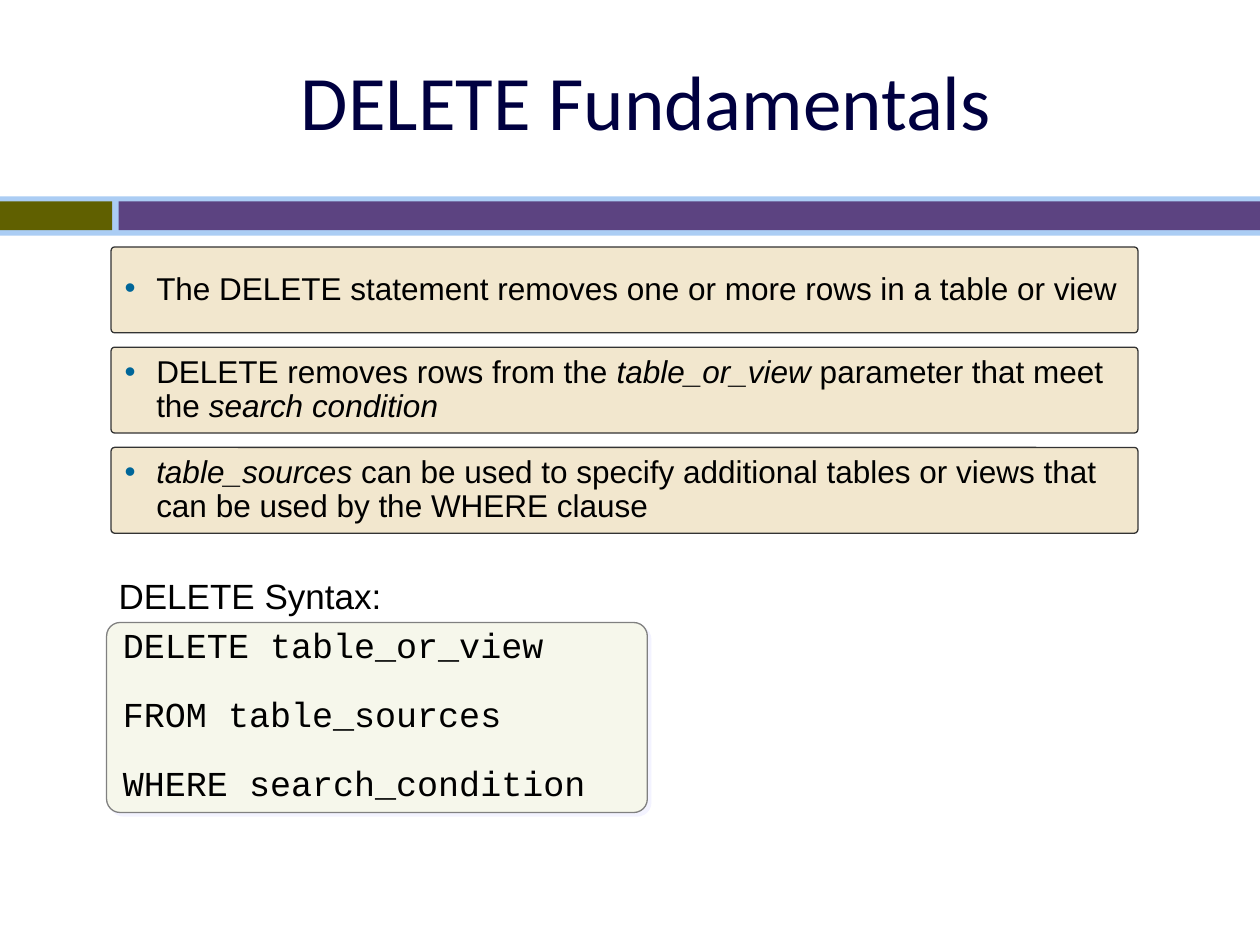
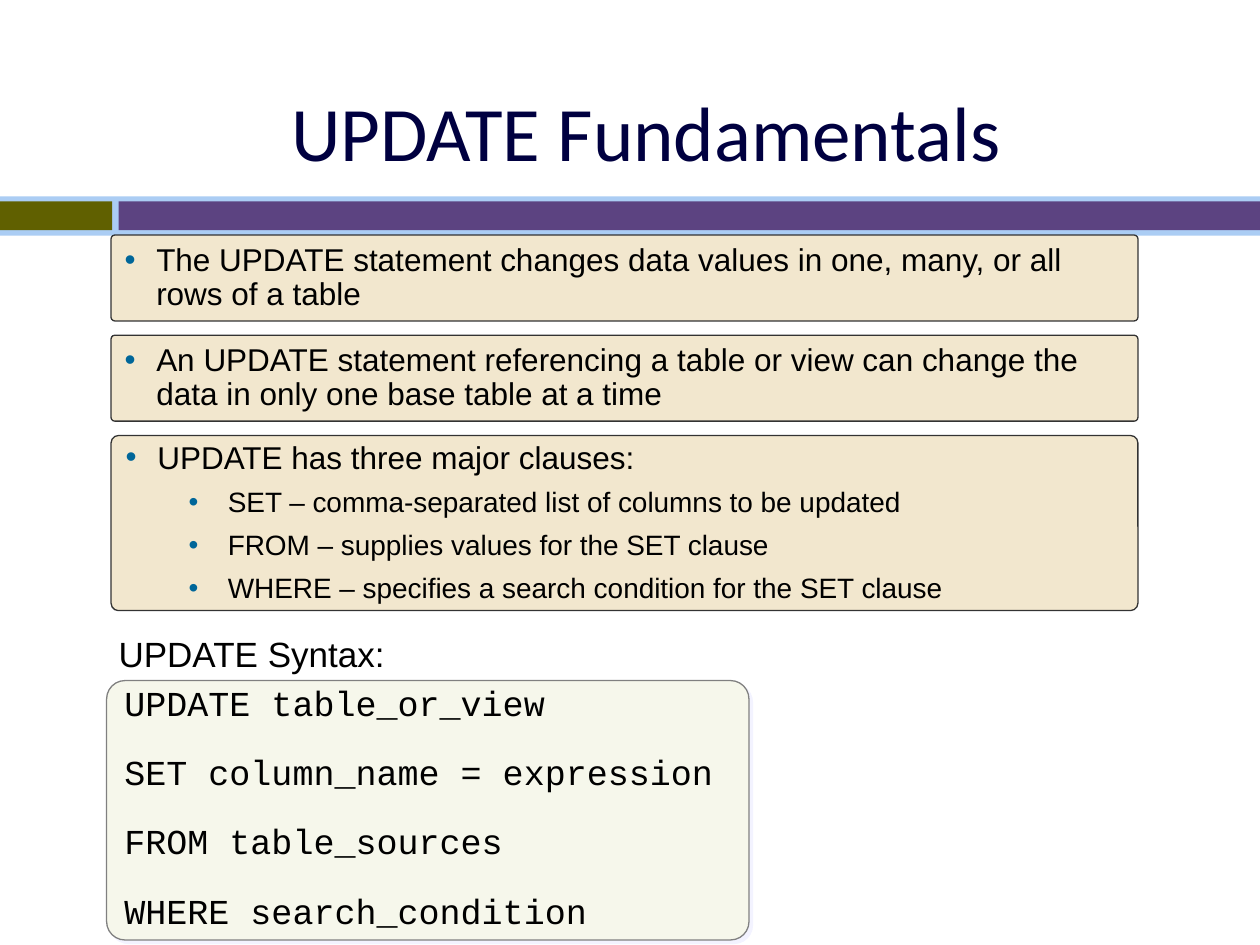
from dataclasses import dataclass

import lxml.etree
import pptx
import pptx.dml.color
import pptx.enum.shapes
import pptx.enum.text
import pptx.oxml.ns
import pptx.util

Cm = pptx.util.Cm
Pt = pptx.util.Pt
SHAPES = pptx.enum.shapes.MSO_SHAPE
ALIGN = pptx.enum.text.PP_ALIGN
ANCHOR = pptx.enum.text.MSO_ANCHOR

# Text between asterisks is italic; each box is a main point and its sub-points.
SLIDES = [
    {
        "title": "DELETE Fundamentals", "title_top": 0.64,
        "points_top": 4.98,
        "points": [
            ("The DELETE statement removes one or more rows in a table or view", []),
            ("DELETE removes rows from the *table_or_view* parameter that meet "
             "the *search condition*", []),
            ("*table_sources* can be used to specify additional tables or views "
             "that can be used by the WHERE clause", []),
        ],
        "syntax_title": "DELETE Syntax:", "syntax_top": 11.68, "code_width": 10.9,
        "code": ["DELETE table_or_view", "FROM table_sources",
                 "WHERE search_condition"],
    },
    {
        "title": "UPDATE Fundamentals", "title_top": 1.27,
        "points_top": 4.74,
        "points": [
            ("The UPDATE statement changes data values in one, many, or all "
             "rows of a table", []),
            ("An UPDATE statement referencing a table or view can change the "
             "data in only one base table at a time", []),
            ("UPDATE has three major clauses:", [
                "SET – comma-separated list of columns to be updated",
                "FROM – supplies values for the SET clause",
                "WHERE – specifies a search condition for the SET clause",
            ]),
        ],
        "syntax_title": "UPDATE Syntax:", "syntax_top": 12.85, "code_width": 12.95,
        "code": ["UPDATE table_or_view", "SET column_name = expression",
                 "FROM table_sources", "WHERE search_condition"],
    },
]


@dataclass(frozen=True)
class Theme:
    title: str = "000040"
    text: str = "000000"
    bullet: str = "006699"
    band_back: str = "ABCDF4"
    band_left: str = "606000"
    band_right: str = "5C4381"
    point_fill: str = "F2E7CE"
    point_line: str = "333333"
    code_fill: str = "F6F7EB"
    code_line: str = "808080"
    code_shadow: str = "F3F3FF"
    title_font: str = "Calibri"
    body_font: str = "Arial"
    code_font: str = "Courier New"
    title_size: int = 44
    syntax_size: int = 20
    point_size: int = 18
    subpoint_size: int = 16


THEME = Theme()
BANDS = [  # left, top, width, height, colour
    (0, 3.96, 25.4, 0.79, THEME.band_back),
    (0, 4.06, 2.26, 0.58, THEME.band_left),
    (2.39, 4.06, 23.01, 0.58, THEME.band_right),
]
POINT_LEFT, POINT_WIDTH, POINT_HEIGHT, POINT_GAP = 2.24, 20.7, 1.73, 0.29
SUBPOINT_HEIGHT = 0.6
CODE_LINE_HEIGHT = 1.4


def rgb(colour):
    return pptx.dml.color.RGBColor.from_string(colour)


def add_child(parent, tag, **attributes):
    child = lxml.etree.SubElement(parent, pptx.oxml.ns.qn(tag))
    for name, value in attributes.items():
        child.set(name, str(value))
    return child


def style_runs(para, font, size, colour=THEME.text):
    for span in para.runs:
        span.font.name = font
        span.font.size = Pt(size)
        span.font.color.rgb = rgb(colour)


def add_panel(page, kind, place, fill, line=None, corner=None):
    box = page.shapes.add_shape(kind, *(Cm(length) for length in place))
    box.shadow.inherit = False
    box.fill.solid()
    box.fill.fore_color.rgb = rgb(fill)
    if line:
        box.line.color.rgb = rgb(line)
        box.line.width = Pt(0.75)
    else:
        box.line.fill.background()
    if corner:
        box.adjustments[0] = corner
    return box


def move_bands_to_layout(page):
    """Draw the bands on a page, then move them behind its layout's placeholders."""
    tree = page.slide_layout.shapes.element
    for index, (*place, colour) in enumerate(BANDS):
        band = add_panel(page, SHAPES.RECTANGLE, place, colour)
        tree.insert(2 + index, band.element)


def add_title(page, text, top):
    title = page.shapes.title
    title.left, title.top = Cm(1.7), Cm(top)
    title.width, title.height = Cm(22.66), Cm(2.74)
    title.text_frame.text = text
    title.text_frame.vertical_anchor = ANCHOR.MIDDLE
    para = title.text_frame.paragraphs[0]
    para.alignment = ALIGN.CENTER
    style_runs(para, THEME.title_font, THEME.title_size, THEME.title)


def set_bullet(para, margin, hanging):
    properties = para._p.get_or_add_pPr()
    properties.set("marL", str(Cm(margin)))
    properties.set("indent", str(-Cm(hanging)))
    colour = add_child(properties, "a:buClr")
    add_child(colour, "a:srgbClr", val=THEME.bullet)
    add_child(properties, "a:buFont", typeface=THEME.body_font)
    add_child(properties, "a:buChar", char="•")


def write_point(para, text, margin, hanging, size):
    set_bullet(para, margin, hanging)
    para.alignment = ALIGN.LEFT
    para.line_spacing = 0.9
    for index, part in enumerate(text.split("*")):
        if part:
            span = para.add_run()
            span.text = part
            span.font.italic = index % 2 == 1
    style_runs(para, THEME.body_font, size)


def add_points(page, points, top):
    for text, subpoints in points:
        height = POINT_HEIGHT + SUBPOINT_HEIGHT * len(subpoints)
        box = add_panel(page, SHAPES.ROUNDED_RECTANGLE,
                        (POINT_LEFT, top, POINT_WIDTH, height),
                        THEME.point_fill, THEME.point_line, 0.042)
        frame = box.text_frame
        write_point(frame.paragraphs[0], text, 0.64, 0.64, THEME.point_size)
        for subpoint in subpoints:
            para = frame.add_paragraph()
            para.level = 1
            write_point(para, subpoint, 2.06, 0.79, THEME.subpoint_size)
            para.space_before = Pt(7.2)
        top += height + POINT_GAP


def add_syntax_title(page, text, top):
    box = page.shapes.add_textbox(Cm(2.39), Cm(top), Cm(7.42), Cm(0.86))
    frame = box.text_frame
    frame.word_wrap = True
    frame.margin_left = frame.margin_right = 0
    frame.margin_top = frame.margin_bottom = 0
    frame.text = text
    frame.paragraphs[0].line_spacing = 0.9
    style_runs(frame.paragraphs[0], THEME.body_font, THEME.syntax_size)


def add_code(page, lines, top, width):
    height = CODE_LINE_HEIGHT * len(lines) - 0.37
    box = add_panel(page, SHAPES.ROUNDED_RECTANGLE, (2.15, top, width, height),
                    THEME.code_fill, THEME.code_line, 0.071)
    effects = box.element.spPr.find(pptx.oxml.ns.qn("a:effectLst"))
    shadow = add_child(effects, "a:outerShdw", dist=Pt(2.8), dir=45 * 60000,
                       algn="ctr", rotWithShape=0)
    add_child(shadow, "a:srgbClr", val=THEME.code_shadow)
    box.text_frame.text = "\n".join(lines)
    for index, para in enumerate(box.text_frame.paragraphs):
        para.alignment = ALIGN.LEFT
        para.line_spacing = 0.8
        if index:
            para.space_before = Pt(20.3)
        style_runs(para, THEME.code_font, THEME.syntax_size)


def main():
    deck = pptx.Presentation()
    deck.slide_width, deck.slide_height = Cm(25.4), Cm(19.05)
    title_only = deck.slide_layouts[5]
    for number, content in enumerate(SLIDES):
        page = deck.slides.add_slide(title_only)
        if number == 0:
            move_bands_to_layout(page)
        add_title(page, content["title"], content["title_top"])
        add_code(page, content["code"], content["syntax_top"] + 0.87,
                 content["code_width"])
        add_points(page, content["points"], content["points_top"])
        add_syntax_title(page, content["syntax_title"], content["syntax_top"])
    deck.save("out.pptx")


if __name__ == "__main__":
    main()
